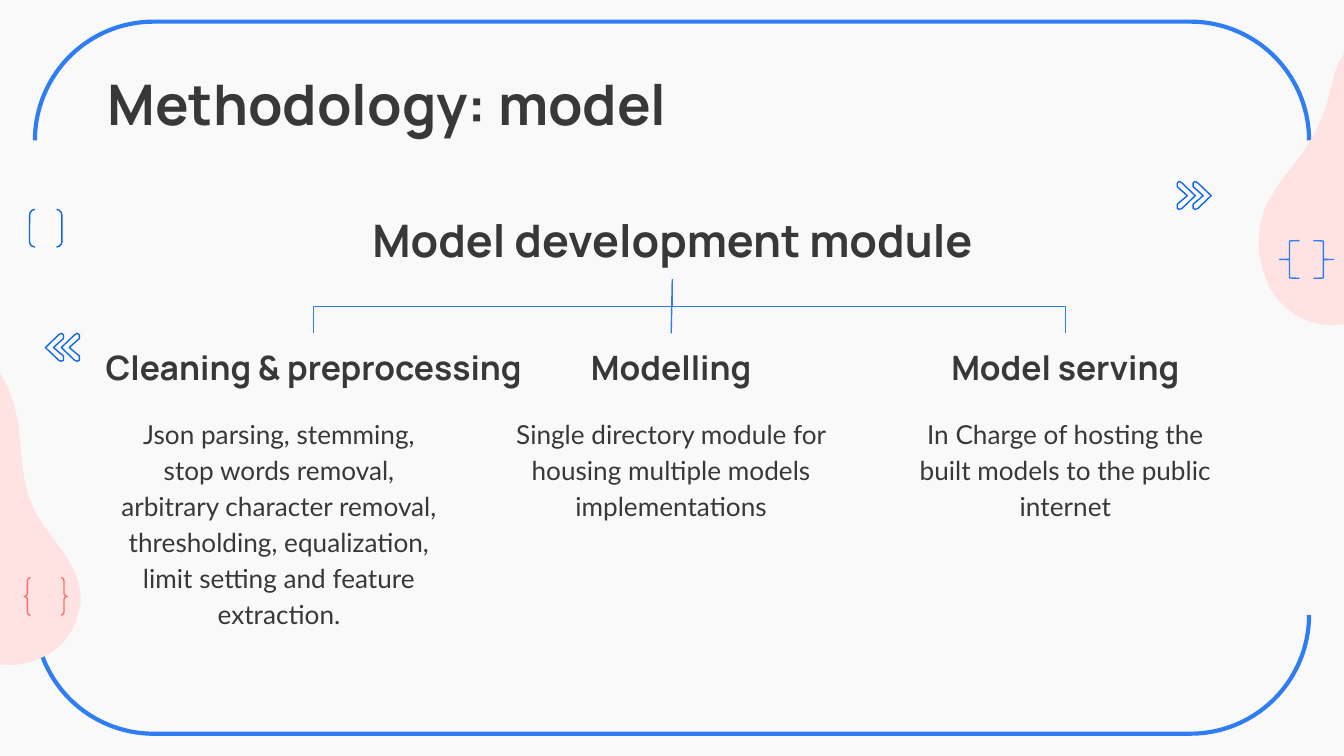
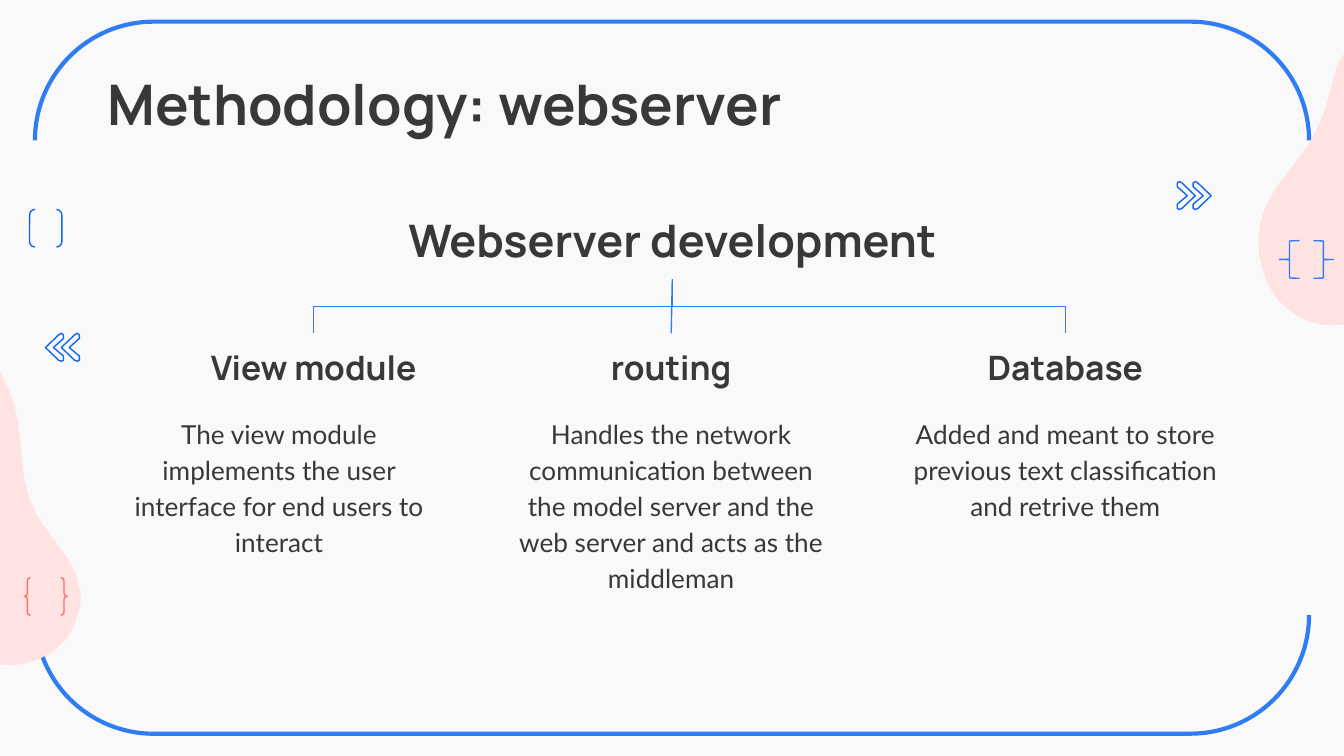
from math import cos, radians, sin

from lxml.etree import SubElement
from pptx import Presentation
from pptx.dml.color import RGBColor
from pptx.enum.shapes import MSO_CONNECTOR, MSO_SHAPE
from pptx.enum.text import MSO_ANCHOR, MSO_AUTO_SIZE, PP_ALIGN
from pptx.oxml.ns import qn
from pptx.util import Cm, Pt

PAPER, INK, BLUE, DEEP_BLUE = "F9F9F9", "383838", "2E7DF4", "0E66EB"
PINK, CORAL = "FFE3E3", "FF6E6B"
HEADING_FONT, BODY_FONT = "Manrope", "Lato"

TITLE_BOX = (1.78, 1.07, 21.41, 1.6)
MODULE_BOX = (5.82, 3.68, 13.77, 1.6)
PART_HEADING_BOXES = [(1.32, 6.3, 9.22, 1.27), (9.42, 6.3, 6.53, 1.27), (16.87, 6.3, 6.53, 1.27)]
DETAIL_LEFTS = [2.01, 9.42, 16.87]
DETAIL_TOP, DETAIL_WIDTH = 7.57, 6.53

CHEVRON_WIDTH, CHEVRON_PITCH = 0.34, 0.3
CHEVRON = [(0.3, 0), (0.25, 0.03), (0, 0.27), (0.25, 0.51), (0.3, 0.53),
           (0.34, 0.51), (0.34, 0.43), (0.15, 0.27), (0.34, 0.1), (0.34, 0.03)]

LEFT_BLOB = [
    (2.58, 2.37), (2.63, 2.22), (2.63, 2.07), (2.6, 1.94), (2.53, 1.38), (2.04, 0.98),
    (1.77, 0.5), (1.41, -0.17), (1.56, -0.88), (1.36, -1.56), (1.18, -2.17), (0.77, -2.73),
    (0.24, -3.04), (-0.04, -3.21), (-0.42, -3.31), (-0.8, -3.34), (-1.21, -3.34), (-1.59, -3.26),
    (-1.87, -3.01), (-2.35, -2.63), (-2.65, -2.02), (-2.78, -1.41), (-2.83, -1.26), (-2.86, -1.1),
    (-2.86, -0.98), (-2.86, -0.9), (-2.88, -0.8), (-2.88, -0.72), (-2.88, -0.27), (-2.81, 0.22),
    (-2.58, 0.6), (-2.3, 1.03), (-1.97, 1.31), (-1.54, 1.59), (-1.05, 1.89), (-0.67, 2.32),
    (-0.24, 2.71), (0.19, 3.09), (0.72, 3.39), (1.28, 3.37), (1.66, 3.37), (2.02, 3.21),
    (2.27, 2.96), (2.43, 2.78), (2.53, 2.58)]
RIGHT_BLOB = [
    (-0.13, -2.78), (-0.58, -2.68), (-1.02, -2.43), (-1.22, -2.02), (-1.35, -1.74), (-1.37, -1.38),
    (-1.5, -1.08), (-1.63, -0.7), (-1.85, -0.34), (-2.11, -0.04), (-2.31, 0.22), (-2.49, 0.47),
    (-2.62, 0.75), (-2.84, 1.31), (-2.74, 1.97), (-2.39, 2.45), (-2.03, 2.88), (-1.57, 3.01),
    (-1.07, 2.93), (-0.38, 2.83), (0.28, 2.73), (0.97, 2.6), (1.09, 2.58), (1.24, 2.55),
    (1.4, 2.5), (1.7, 2.45), (2.01, 2.37), (2.31, 2.3), (2.62, 2.22), (2.9, 2.15),
    (3.1, 1.92), (3.38, 1.64), (3.4, 1.21), (3.28, 0.83), (3.18, 0.47), (2.9, 0.17),
    (2.62, -0.09), (2.44, -0.24), (2.26, -0.39), (2.11, -0.6), (1.85, -0.9), (1.75, -1.28),
    (1.6, -1.64), (1.42, -1.99), (1.37, -2.43), (0.99, -2.65), (0.81, -2.78), (0.56, -2.83),
    (0.33, -2.83), (0.18, -2.83), (0.03, -2.81)]

SLIDES = [
    ("Methodology: model", "Model development module", [
        ("Cleaning & preprocessing",
         "Json parsing, stemming, stop words removal, arbitrary character removal, "
         "thresholding, equalization, limit setting and feature extraction.", 4.55),
        ("Modelling", "Single directory module for housing multiple models implementations", 2.21),
        ("Model serving", "In Charge of hosting the built models to the public internet", 2.21)]),
    ("Methodology: webserver", "Webserver development", [
        ("View module",
         "The view module implements the user interface for end users to interact", 3.18),
        ("routing",
         "Handles the network communication between the model server and the web server "
         "and acts as the middleman", 4.39),
        ("Database", "Added and meant to store previous text classification and retrive them", 2.21)]),
]


def color(hex_string):
    """Turn a hex string into a colour."""
    return RGBColor.from_string(hex_string)


def paint(shape, fill=None, line=None, weight=0.75):
    """Give a shape its fill and outline, and no shadow."""
    shape.shadow.inherit = False
    if fill:
        shape.fill.solid()
        shape.fill.fore_color.rgb = color(fill)
    else:
        shape.fill.background()
    if line:
        shape.line.color.rgb = color(line)
        shape.line.width = Pt(weight)
    else:
        shape.line.fill.background()


def add_outline(slide, points):
    """Draw a closed outline through points given in centimetres."""
    corners = [(Cm(x), Cm(y)) for x, y in points]
    builder = slide.shapes.build_freeform(*corners[0])
    builder.add_line_segments(corners[1:], close=True)
    return builder.convert_to_shape()


def smooth_curve(controls, steps=6):
    """Sample a closed chain of cubic Bézier curves."""
    closed = controls + controls[:1]
    points = []
    for first in range(0, len(controls), 3):
        curve = closed[first:first + 4]
        for step in range(steps):
            t = step / steps
            weights = ((1 - t) ** 3, 3 * t * (1 - t) ** 2, 3 * t * t * (1 - t), t ** 3)
            points.append(tuple(sum(w * p[axis] for w, p in zip(weights, curve)) for axis in (0, 1)))
    return points


def draw_blob(slide, center, controls, angle):
    """Draw a pink blob around its center, turned by the angle."""
    turn = radians(angle)
    blob = add_outline(slide, [
        (center[0] + x * cos(turn) + y * sin(turn), center[1] - x * sin(turn) + y * cos(turn))
        for x, y in smooth_curve(controls)])
    blob.rotation = angle
    paint(blob, fill=PINK)


def draw_chevrons(slide, left, top, mirrored=False):
    """Draw a pair of chevrons from the given corner."""
    for index in range(2):
        start = left + index * CHEVRON_PITCH
        chevron = add_outline(slide, [
            (start + (CHEVRON_WIDTH - x if mirrored else x), top + y) for x, y in CHEVRON])
        paint(chevron, line=DEEP_BLUE)


def draw_brackets(slide, kind, box, line, weight=0.75, angle=0):
    """Draw one outlined bracket or brace shape in its box."""
    bracket = slide.shapes.add_shape(kind, *map(Cm, box))
    bracket.rotation = angle
    paint(bracket, line=line, weight=weight)
    return bracket


def draw_backdrop(slide):
    """Draw the shared frame and ornaments and move them to the layout."""
    layout = slide.slide_layout
    layout.background.fill.solid()
    layout.background.fill.fore_color.rgb = color(PAPER)
    draw_brackets(slide, MSO_SHAPE.DOUBLE_BRACKET, (5.97, -4.9, 13.46, 24.08), BLUE, 2.25, 90)
    draw_blob(slide, (-1.05, 9.18), LEFT_BLOB, 102.9)
    draw_blob(slide, (26.52, 3.19), RIGHT_BLOB, 348.1)
    for left, angle in ((24.18, 0), (24.82, 180)):
        brace = draw_brackets(slide, MSO_SHAPE.LEFT_BRACE, (left, 4.55, 0.38, 0.71), BLUE, angle=angle)
        brace.adjustments[0] = 0.022
    draw_brackets(slide, MSO_SHAPE.DOUBLE_BRACKET, (0.56, 3.96, 0.61, 0.71), DEEP_BLUE)
    draw_chevrons(slide, 0.86, 6.3)
    draw_brackets(slide, MSO_SHAPE.DOUBLE_BRACE, (0.46, 10.92, 0.81, 0.71), CORAL)
    for ornament in list(slide.shapes):
        if not ornament.is_placeholder:
            layout.shapes.element.append(ornament.element)


def write_text(holder, words, size, font, bold, align, spacing, anchor):
    """Fill a text holder with one formatted paragraph."""
    frame = holder.text_frame
    frame.word_wrap = True
    frame.auto_size = MSO_AUTO_SIZE.NONE
    frame.vertical_anchor = anchor
    frame.margin_left = frame.margin_right = frame.margin_top = frame.margin_bottom = Cm(0.25)
    frame.text = words
    paragraph = frame.paragraphs[0]
    paragraph.alignment = align
    paragraph.line_spacing = spacing
    paragraph.font.size = Pt(size)
    paragraph.font.name = font
    paragraph.font.bold = bold
    paragraph.font.color.rgb = color(INK)


def add_title(slide, words, box):
    """Place and fill the slide title."""
    title = slide.shapes.title
    title.left, title.top, title.width, title.height = map(Cm, box)
    write_text(title, words, 30, HEADING_FONT, True, PP_ALIGN.LEFT, 1.0, MSO_ANCHOR.TOP)


def add_heading(slide, words, box, size):
    """Add a centred bold heading that sits on the bottom of its box."""
    heading = slide.shapes.add_textbox(*map(Cm, box))
    write_text(heading, words, size, HEADING_FONT, True, PP_ALIGN.CENTER, 1.15, MSO_ANCHOR.BOTTOM)
    return heading


def add_detail(slide, words, box):
    """Add the centred description of a part."""
    detail = slide.shapes.add_textbox(*map(Cm, box))
    write_text(detail, words, 14, BODY_FONT, False, PP_ALIGN.CENTER, 1.15, MSO_ANCHOR.TOP)


def add_branch(slide, module, part, side):
    """Join the module to a part on the left (-1), middle (0) or right (1)."""
    kind = MSO_CONNECTOR.ELBOW if side else MSO_CONNECTOR.STRAIGHT
    branch = slide.shapes.add_connector(kind, 0, 0, 0, 0)
    branch.begin_connect(module, 2)
    branch.end_connect(part, 0)
    branch.line.color.rgb = color(BLUE)
    branch.line.width = Pt(0.75)
    properties = branch.element.spPr
    SubElement(properties, qn("a:effectLst"))
    if side:
        start = module.left + module.width // 2
        end = part.left + part.width // 2
        upper, lower = module.top + module.height, part.top
        span, drop = abs(end - start), lower - upper
        branch.left = (start + end - drop) // 2
        branch.top = (upper + lower - span) // 2
        branch.width, branch.height = drop, span
        frame = properties.find(qn("a:xfrm"))
        frame.set("rot", str((90 if side < 0 else 270) * 60000))
        frame.set("flipH", "0" if side < 0 else "1")
        frame.set("flipV", "0")


def add_module_tree(slide, module_name, parts):
    """Draw a module heading, its three parts and the branches between them."""
    module = add_heading(slide, module_name, MODULE_BOX, 24)
    for index, (name, description, height) in enumerate(parts):
        part = add_heading(slide, name, PART_HEADING_BOXES[index], 18)
        add_detail(slide, description, (DETAIL_LEFTS[index], DETAIL_TOP, DETAIL_WIDTH, height))
        add_branch(slide, module, part, index - 1)


def main():
    """Build both methodology slides."""
    deck = Presentation()
    deck.slide_width, deck.slide_height = Cm(25.4), Cm(14.29)
    layout = deck.slide_layouts[5]
    for number, (title, module_name, parts) in enumerate(SLIDES):
        slide = deck.slides.add_slide(layout)
        if number == 0:
            draw_backdrop(slide)
        add_title(slide, title, TITLE_BOX)
        add_module_tree(slide, module_name, parts)
        draw_chevrons(slide, 22.25, 3.43, mirrored=True)
    deck.save("out.pptx")


if __name__ == "__main__":
    main()
